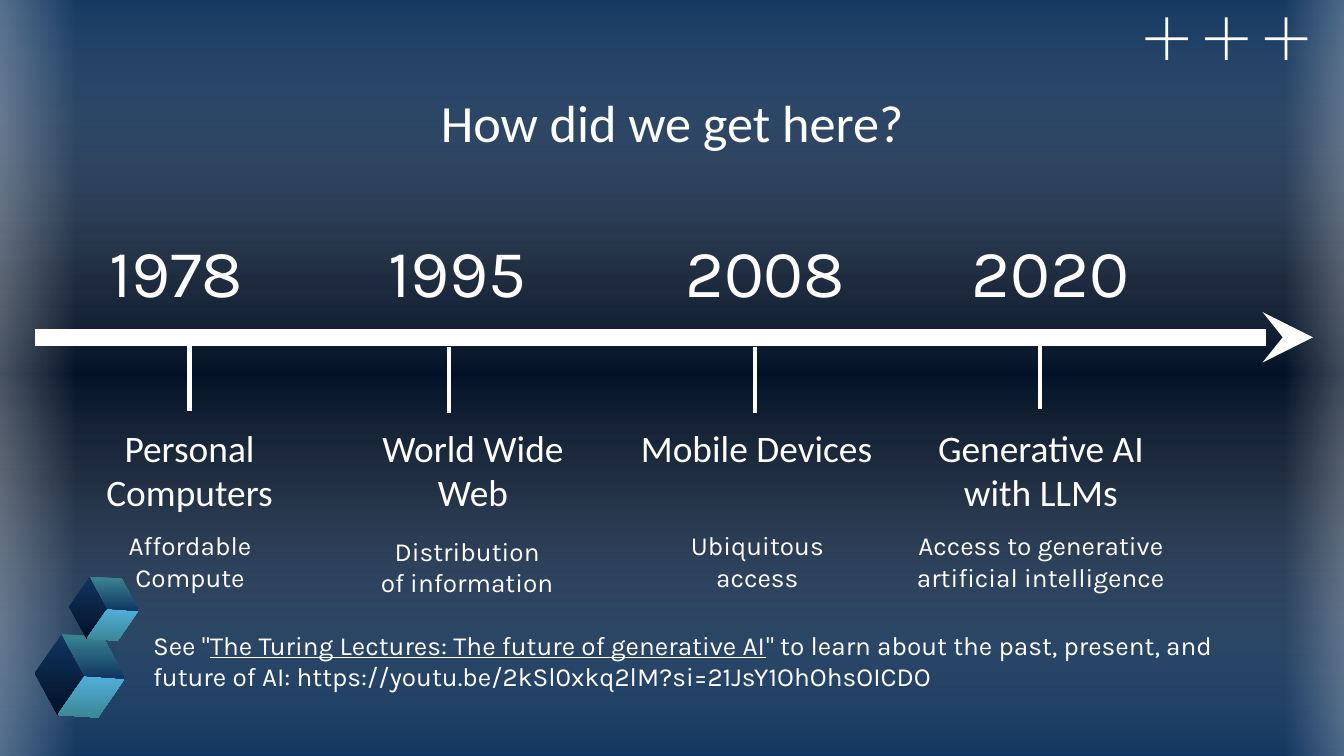
from lxml.etree import SubElement
from pptx import Presentation
from pptx.dml.color import RGBColor
from pptx.enum.shapes import MSO_CONNECTOR, MSO_SHAPE
from pptx.enum.text import MSO_ANCHOR, PP_ALIGN
from pptx.oxml.ns import qn
from pptx.util import Pt

WHITE, NAVY, NIGHT, SKY, TEAL = "FFFFFF", "10355F", "031126", "51AFDB", "3B8794"
HEAD, BODY = "Calibri", "Karla"


def rgb(value):
    return RGBColor.from_string(value)


def add_text(p, text, size=14, font=BODY, color=WHITE, underline=None):
    r = p.add_run()
    r.text = text
    r.font.size, r.font.name = Pt(size), font
    r.font.color.rgb = rgb(color)
    r.font.underline = underline
    return r


def set_gradient(fill, element, stops, angle):
    """Stops are (position %, colour) or (position %, colour, opacity %)."""
    fill.gradient()
    grad = next(element.iter(qn("a:gradFill")))
    grad.find(qn("a:lin")).set("ang", str(angle * 60000))
    gs_list = grad.find(qn("a:gsLst"))
    for gs in list(gs_list):
        gs_list.remove(gs)
    for pos, color, *alpha in stops:
        gs = SubElement(gs_list, qn("a:gs"), pos=str(pos * 1000))
        clr = SubElement(gs, qn("a:srgbClr"), val=color)
        for a in alpha:
            SubElement(clr, qn("a:alpha"), val=str(a * 1000))


class SlideBuilder:
    inset = Pt(7.2)

    def __init__(self, prs):
        self.s = prs.slides.add_slide(prs.slide_layouts[6])

    def background(self, stops, angle=90):
        bg = self.s.background
        set_gradient(bg.fill, self.s.element, stops, angle)

    def paint(self, sp, fill, angle):
        sp.shadow.inherit = False
        sp.line.fill.background()
        if isinstance(fill, str):
            sp.fill.solid()
            sp.fill.fore_color.rgb = rgb(fill)
        else:
            set_gradient(sp.fill, sp.element, fill, angle)

    def rect(self, x, y, w, h, fill, angle=180, rotation=0):
        sp = self.s.shapes.add_shape(MSO_SHAPE.RECTANGLE, Pt(x), Pt(y), Pt(w), Pt(h))
        sp.rotation = rotation
        self.paint(sp, fill, angle)

    def polygon(self, points, fill, angle=90):
        start, *rest = [(Pt(x), Pt(y)) for x, y in points]
        fb = self.s.shapes.build_freeform(*start)
        fb.add_line_segments(rest, close=True)
        self.paint(fb.convert_to_shape(), fill, angle)

    def line(self, x1, y1, x2, y2, width, arrow=None):
        ln = self.s.shapes.add_connector(
            MSO_CONNECTOR.STRAIGHT, Pt(x1), Pt(y1), Pt(x2), Pt(y2))
        ln.line.width = Pt(width)
        ln.line.color.rgb = rgb(WHITE)
        if arrow:
            SubElement(ln.line._get_or_add_ln(), qn("a:tailEnd"), type=arrow)
        SubElement(ln.element.spPr, qn("a:effectLst"))

    def text(self, x, y, w, h, *parts, align=PP_ALIGN.CENTER,
             anchor=MSO_ANCHOR.TOP, tabs=(), **style):
        """Each part is a string or a (string, extra format) pair."""
        tf = self.s.shapes.add_textbox(Pt(x), Pt(y), Pt(w), Pt(h)).text_frame
        tf.word_wrap = True
        tf.vertical_anchor = anchor
        tf.margin_left = tf.margin_right = self.inset
        tf.margin_top = tf.margin_bottom = self.inset
        p = tf.paragraphs[0]
        p.alignment = align
        if tabs:
            tab_list = SubElement(p._p.get_or_add_pPr(), qn("a:tabLst"))
            for pos in tabs:
                SubElement(tab_list, qn("a:tab"), pos=str(Pt(pos)), algn="ctr")
        for part in parts:
            text, extra = (part, {}) if isinstance(part, str) else part
            add_text(p, text, **{**style, **extra})

    def plus(self, cx, cy, size=22.7, thick=1.5):
        for w, h in ((thick, size), (size, thick)):
            self.rect(cx - w / 2, cy - h / 2, w, h, WHITE)

    def cube(self, x, y, scale=1):
        """Three faces, placed from the topmost corner."""
        top, left, bottom, middle, right, low, back = [
            (x + dx * scale, y + dy * scale) for dx, dy in (
                (0, 0), (-14.4, 21), (-2.2, 43.2), (12.2, 22.3),
                (33.8, 23.8), (19.4, 44.6), (22.3, 1.4))]
        for points, start, end in (
                ((top, left, bottom, middle), NAVY, NIGHT),
                ((middle, right, low, bottom), SKY, TEAL),
                ((top, back, right, middle), TEAL, NAVY)):
            self.polygon(points, [(0, start), (100, end)])


def main():
    prs = Presentation()
    prs.slide_width, prs.slide_height = Pt(720), Pt(405)
    b = SlideBuilder(prs)

    # Backdrop: gradient, blue veil and glowing sides
    b.background([(0, NAVY), (37, NIGHT), (63, NIGHT), (100, NAVY)])
    b.rect(158.4, -167.8, 418.3, 735.1,
           [(0, NAVY, 59), (50, WHITE, 0), (100, NAVY, 59)], rotation=270)
    glow = [(0, WHITE, 47), (100, WHITE, 0)]
    b.rect(-29.5, -6.5, 70.6, 417.6, glow, rotation=180)
    b.rect(688.3, -9.4, 61.2, 417.6, glow)

    # Title
    b.text(0, 42.5, 720, 45.4, "How did we get here?", size=28, font=HEAD,
           anchor=MSO_ANCHOR.MIDDLE)

    # Corner ornaments
    for i in range(3):
        b.plus(625 + 32 * i, 20.7)
    b.cube(33.1, 339.8)
    b.cube(48.2, 308.9, scale=0.77)

    # Timeline axis and years
    b.line(18.7, 180.7, 703.4, 180.7, 9, arrow="stealth")
    b.text(5.8, 120.2, 653.8, 49.7, "\t1978\t1995\t2008\t2020", size=36,
           align=PP_ALIGN.LEFT, anchor=MSO_ANCHOR.MIDDLE,
           tabs=(81.5, 232, 397, 550))

    # Milestones: tick x, tick y, heading (x, width), note (x, y, width)
    milestones = (
        (101.5, 185, "Personal Computers", (27.4, 148.3),
         "Affordable Compute", (48.2, 276.5, 107.3)),
        (240.5, 185.8, "World Wide Web", (179.3, 148.3),
         "Distribution of information", (196.6, 279.4, 107.3)),
        (404.6, 185.8, "Mobile Devices", (331.2, 148.3),
         "Ubiquitous access", (352.1, 276.5, 107.3)),
        (557.3, 184, "Generative AI with LLMs", (475.2, 164.9),
         "Access to generative artificial intelligence", (475.2, 276.5, 164.9)),
    )
    for tick_x, tick_y, heading, (hx, hw), note, (nx, ny, nw) in milestones:
        b.line(tick_x, tick_y, tick_x, tick_y + 35.3, 2.25)
        b.text(hx, 220.3, hw, 59, heading, size=20, font=HEAD)
        b.text(nx, ny, nw, 41.8, note)

    # Reference
    b.text(74.9, 329.8, 596.2, 45.4, 'See "',
           ("The Turing Lectures: The future of generative AI", {"underline": True}),
           '" to learn about the past, present, and future of AI: '
           "https://youtu.be/2kSl0xkq2lM?si=21JsY1OhOhsOICDO",
           align=PP_ALIGN.LEFT)

    prs.save("out.pptx")


if __name__ == "__main__":
    main()
